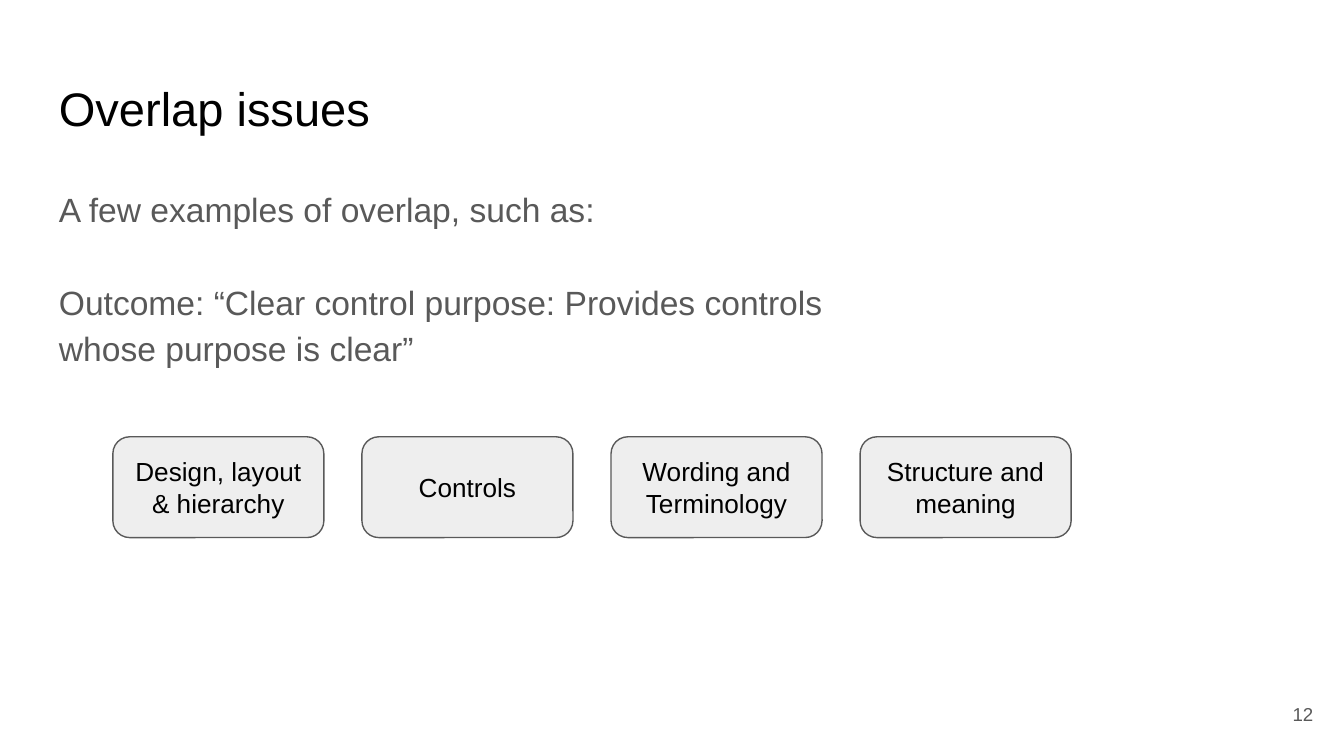
from dataclasses import dataclass

from pptx import Presentation
from pptx import util as u
from pptx.dml.color import RGBColor
from pptx.enum import shapes, text

COLORS = {"background": "FFFFFF", "title": "000000", "body": "595959",
          "card": "EEEEEE", "border": "595959", "card_text": "000000"}
FONT = "Arial"
INSET = 0.1
SLIDE_WIDTH = 10
SLIDE_HEIGHT = SLIDE_WIDTH * 9 / 16


@dataclass
class Box:
    left: float
    top: float
    width: float
    height: float

    def lengths(self) -> list[u.Length]:
        return [u.Inches(v) for v in (self.left, self.top, self.width, self.height)]


def color(name: str) -> RGBColor:
    return RGBColor.from_string(COLORS[name])


def write_text(shape, *lines: str, size: float, ink: str,
               align=text.PP_ALIGN.LEFT, anchor=text.MSO_ANCHOR.TOP,
               line_spacing: float = 1.0, gap: float = 0) -> None:
    """Fill a shape with one paragraph per line, gap points apart."""
    frame = shape.text_frame
    frame.word_wrap = True
    frame.auto_size = text.MSO_AUTO_SIZE.NONE
    frame.vertical_anchor = anchor
    frame.margin_left = frame.margin_right = u.Inches(INSET)
    frame.margin_top = frame.margin_bottom = u.Inches(INSET)
    for index, line in enumerate(lines):
        paragraph = frame.add_paragraph() if index else frame.paragraphs[0]
        paragraph.alignment = align
        paragraph.line_spacing = line_spacing
        paragraph.space_before = u.Pt(gap if index else 0)
        run = paragraph.add_run()
        run.text = line
        run.font.name = FONT
        run.font.size = u.Pt(size)
        run.font.color.rgb = color(ink)


def add_text(slide, box: Box, *lines: str, **text_format) -> None:
    write_text(slide.shapes.add_textbox(*box.lengths()), *lines, **text_format)


def add_card(slide, box: Box, label: str) -> None:
    card = slide.shapes.add_shape(shapes.MSO_SHAPE.ROUNDED_RECTANGLE, *box.lengths())
    card.adjustments[0] = 1 / 6
    card.shadow.inherit = False
    card.fill.solid()
    card.fill.fore_color.rgb = color("card")
    card.line.color.rgb = color("border")
    card.line.width = u.Pt(0.75)
    write_text(card, label, size=14, ink="card_text",
               align=text.PP_ALIGN.CENTER, anchor=text.MSO_ANCHOR.MIDDLE)


def main() -> None:
    presentation = Presentation()
    presentation.slide_width = u.Inches(SLIDE_WIDTH)
    presentation.slide_height = u.Inches(SLIDE_HEIGHT)
    slide = presentation.slides.add_slide(presentation.slide_layouts[6])
    slide.background.fill.solid()
    slide.background.fill.fore_color.rgb = color("background")

    # Title and introduction
    add_text(slide, Box(0.34, 0.49, 9.32, 0.63), "Overlap issues", size=25.2, ink="title")
    add_text(slide, Box(0.34, 1.26, 6.28, 1.77),
             "A few examples of overlap, such as:",
             "Outcome: “Clear control purpose: Provides controls whose purpose is clear”",
             size=18, ink="body", line_spacing=1.15, gap=25)

    # Page number
    add_text(slide, Box(9.27, 5.1, 0.6, 0.43), "12", size=10, ink="body",
             align=text.PP_ALIGN.RIGHT, anchor=text.MSO_ANCHOR.MIDDLE)

    # Row of overlapping categories, evenly spaced
    categories = ("Design, layout & hierarchy", "Controls",
                  "Wording and Terminology", "Structure and meaning")
    first_left, last_left = 0.84, 6.4
    pitch = (last_left - first_left) / (len(categories) - 1)
    for index, label in enumerate(categories):
        add_card(slide, Box(first_left + index * pitch, 3.25, 1.57, 0.75), label)

    presentation.save("out.pptx")


if __name__ == "__main__":
    main()
